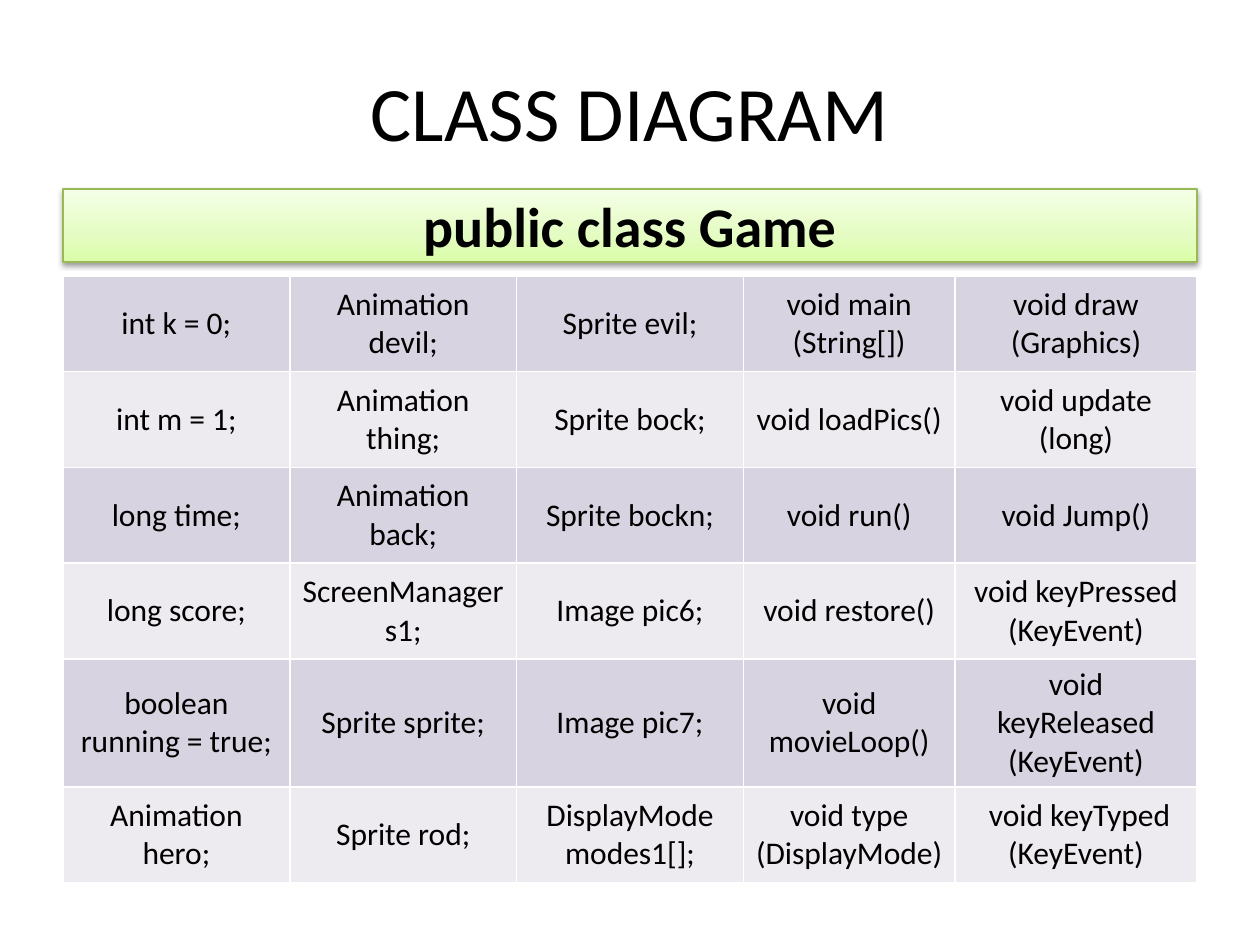
from lxml.etree import SubElement
from pptx import Presentation
from pptx.dml.color import RGBColor
from pptx.enum.shapes import MSO_SHAPE
from pptx.enum.text import MSO_ANCHOR, PP_ALIGN
from pptx.oxml.ns import qn
from pptx.util import Inches, Pt

BLACK = RGBColor(0x00, 0x00, 0x00)
WHITE = RGBColor(0xFF, 0xFF, 0xFF)
GREEN = RGBColor(0x98, 0xB9, 0x55)
LIME = RGBColor(0xDA, 0xFD, 0xA7)
PALE = RGBColor(0xE4, 0xFC, 0xC2)
MIST = RGBColor(0xF5, 0xFF, 0xE7)
BANDS = (RGBColor(0xD8, 0xD3, 0xE0), RGBColor(0xED, 0xEA, 0xF0))

WIDTHS = (1.8, 1.8, 1.8, 1.68, 1.92)
ROWS = (
    ("int k = 0;", "Animation devil;", "Sprite evil;",
     "void main (String[])", "void draw (Graphics)"),
    ("int m = 1;", "Animation thing;", "Sprite bock;",
     "void loadPics()", "void update (long)"),
    ("long time;", "Animation back;", "Sprite bockn;",
     "void run()", "void Jump()"),
    ("long score;", "ScreenManager s1;", "Image pic6;",
     "void restore()", "void keyPressed (KeyEvent)"),
    ("boolean running = true;", "Sprite sprite;", "Image pic7;",
     "void movieLoop()", "void keyReleased (KeyEvent)"),
    ("Animation hero;", "Sprite rod;", "DisplayMode modes1[];",
     "void type (DisplayMode)", " void keyTyped (KeyEvent)"),
)


def add_node(parent, tag, **attrs):
    """Append a drawing element with the given attributes."""
    return SubElement(parent, qn("a:" + tag),
                      {key: str(val) for key, val in attrs.items()})


def set_text(frame, text, size, bold=False):
    """Write one centred paragraph in a text frame."""
    frame.text = text
    para = frame.paragraphs[0]
    para.alignment = PP_ALIGN.CENTER
    font = para.font
    font.name, font.size, font.bold = "Calibri", Pt(size), bold
    font.color.rgb = BLACK


def add_title(slide, left, top, width, height):
    """Place the slide title."""
    title = slide.shapes.title
    title.left, title.top, title.width, title.height = left, top, width, height
    set_text(title.text_frame, "CLASS DIAGRAM", 44)
    title.text_frame.vertical_anchor = MSO_ANCHOR.MIDDLE


def add_banner(slide, left, top, width, height):
    """Draw the class name bar with its gradient and shadow."""
    bar = slide.shapes.add_shape(MSO_SHAPE.RECTANGLE, left, top, width, height)
    bar.fill.gradient()
    bar.fill.gradient_angle = 90
    stops = bar.fill._fill._gradFill.find(qn("a:gsLst"))
    stops.clear()
    for pos, color in ((0, LIME), (35, PALE), (100, MIST)):
        add_node(add_node(stops, "gs", pos=pos * 1000), "srgbClr", val=color)
    bar.line.color.rgb = GREEN
    bar.line.width = Pt(0.75)
    bar.shadow.inherit = False
    effects = bar._element.spPr.find(qn("a:effectLst"))
    shade = add_node(effects, "outerShdw", blurRad=Pt(3.1), dist=Pt(1.6),
                     dir=5400000, rotWithShape=0)
    add_node(add_node(shade, "srgbClr", val=BLACK), "alpha", val=38000)
    set_text(bar.text_frame, "public class Game", 32, True)
    bar.text_frame.vertical_anchor = MSO_ANCHOR.MIDDLE


def set_cell(cell, text, color):
    """Fill one cell and give it white borders."""
    set_text(cell.text_frame, text, 18)
    cell.vertical_anchor = MSO_ANCHOR.MIDDLE
    props = cell._tc.get_or_add_tcPr()
    for side in "LRTB":
        line = add_node(props, "ln" + side, w=Pt(1))
        add_node(add_node(line, "solidFill"), "srgbClr", val=WHITE)
    cell.fill.solid()
    cell.fill.fore_color.rgb = color


def add_members(slide, left, top, width, height):
    """Build the banded table of class members."""
    table = slide.shapes.add_table(len(ROWS), len(WIDTHS), left, top,
                                   width, height).table
    table.first_row = table.horz_banding = False
    for col, size in zip(table.columns, WIDTHS):
        col.width = Inches(size)
    for row, texts in enumerate(ROWS):
        for col, text in enumerate(texts):
            set_cell(table.cell(row, col), text, BANDS[row % 2])


def main():
    """Build and save the slide."""
    deck = Presentation()
    deck.slide_width, deck.slide_height = Inches(10), Inches(7.5)
    slide = deck.slides.add_slide(deck.slide_layouts[5])
    left, width = Inches(0.5), Inches(9)
    add_title(slide, left, Inches(0.25), width, Inches(1.25))
    add_members(slide, left, Inches(2.19), width, Inches(0.76 * len(ROWS)))
    add_banner(slide, left, Inches(1.5), width, Inches(0.58))
    deck.save("out.pptx")


main()
